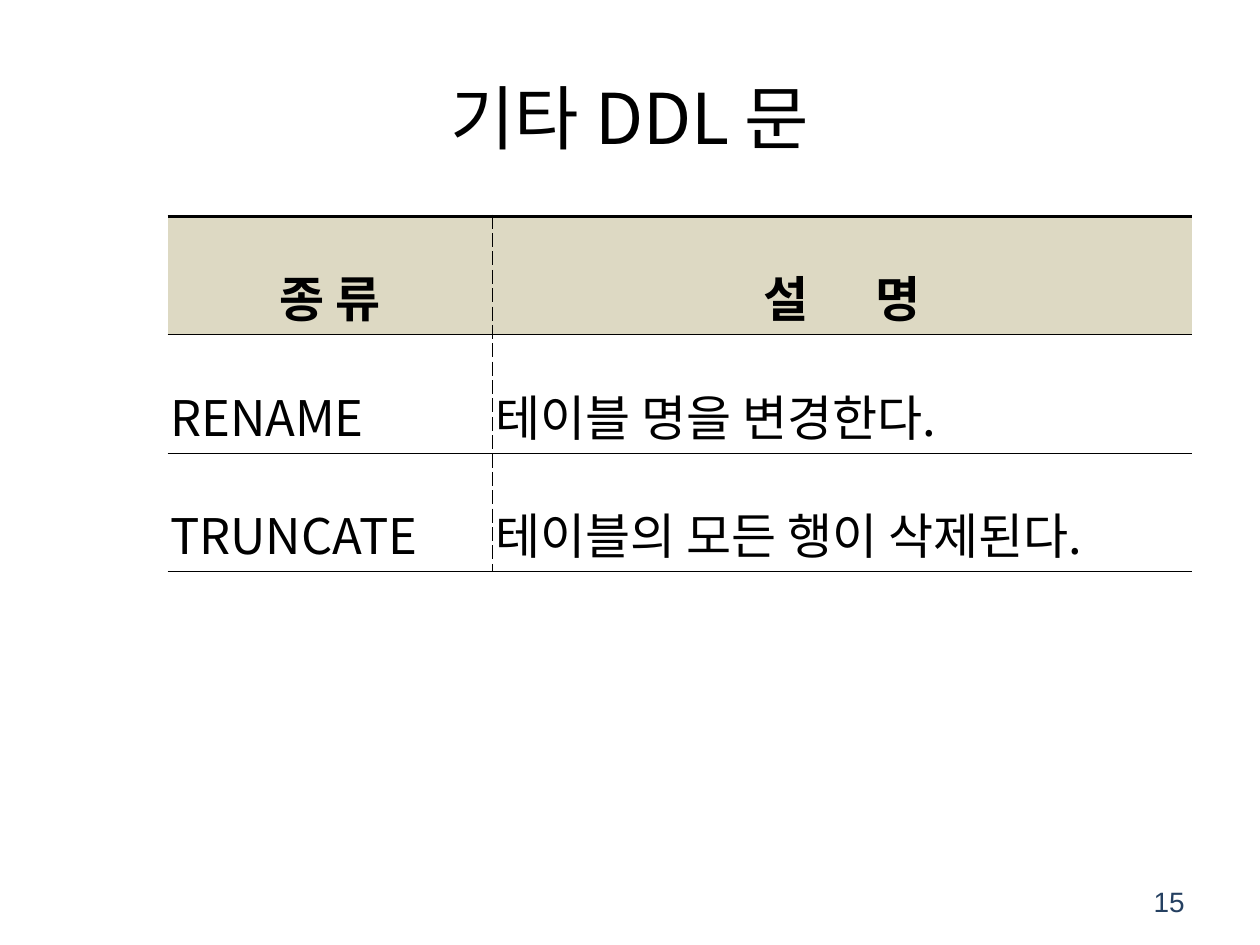
"""Builds a slide that lists further DDL statements in a table."""
from dataclasses import dataclass

from lxml import etree
from pptx import Presentation
from pptx.dml.color import RGBColor
from pptx.enum.text import MSO_ANCHOR, PP_ALIGN
from pptx.oxml.ns import qn
from pptx.util import Cm, Pt

CENTER, RIGHT, JUSTIFY = PP_ALIGN.CENTER, PP_ALIGN.RIGHT, PP_ALIGN.JUSTIFY
MIDDLE = MSO_ANCHOR.MIDDLE


@dataclass(frozen=True)
class Theme:
    """Colours, fonts, type sizes and line widths of the slide."""
    ink: str = "000000"
    number_ink: str = "254061"
    header_fill: str = "DDD9C3"
    body_fill: str = "FFFFFF"
    korean: str = "Noto Sans CJK KR"
    latin: str = "Arial"
    title_size: int = 40
    table_size: int = 28
    number_size: int = 16
    heavy: float = 2
    thin: float = 0.25
    divider: float = 0.56


THEME = Theme()
STATEMENTS = [
    ("종 류", "설 명"),
    ("RENAME", "테이블 명을 변경한다."),
    ("TRUNCATE", "테이블의 모든 행이 삭제된다."),
]
WIDE_GAP = {"설 명": 32}


def apply_format(target, values):
    """Set each named value on the target."""
    for attribute, value in values.items():
        setattr(target, attribute, value)


def add_text(paragraph, text, family, size, color=THEME.ink, bold=False):
    """Append a formatted run with one typeface for all scripts."""
    run = paragraph.add_run()
    run.text = text
    apply_format(run.font, {"name": family, "size": Pt(size), "bold": bold})
    run.font.color.rgb = RGBColor.from_string(color)
    properties = run.font._element
    etree.SubElement(properties, qn("a:ea"), typeface=family)
    return properties


def add_border(cell, position, side, width, dash="solid"):
    """Put a border on one side of a cell; zero width hides it."""
    line = etree.Element(qn(f"a:ln{side}"), w=str(int(Pt(width))))
    if width:
        fill = etree.SubElement(line, qn("a:solidFill"))
        etree.SubElement(fill, qn("a:srgbClr"), val=THEME.ink)
        etree.SubElement(line, qn("a:prstDash"), val=dash)
    else:
        etree.SubElement(line, qn("a:noFill"))
    cell._tc.get_or_add_tcPr().insert(position, line)


def fill_cell(cell, text, is_header, is_first_column):
    """Write and format one table cell."""
    apply_format(cell, {
        "vertical_anchor": MIDDLE,
        "margin_left": Cm(0.05), "margin_right": Cm(0.05),
        "margin_top": Cm(0.05), "margin_bottom": Cm(0.05),
    })
    cell.fill.solid()
    cell.fill.fore_color.rgb = RGBColor.from_string(
        THEME.header_fill if is_header else THEME.body_fill)
    paragraph = cell.text_frame.paragraphs[0]
    apply_format(paragraph, {
        "alignment": CENTER if is_header else JUSTIFY, "line_spacing": 1.6})
    gap = WIDE_GAP.get(text)
    for part in text.partition(" ") if gap else [text]:
        properties = add_text(paragraph, part, THEME.korean,
                              THEME.table_size, bold=is_header)
        if gap and part == " ":
            properties.set("spc", str(gap * 100))
    borders = [
        ("L", 0 if is_first_column else THEME.divider, "dash"),
        ("R", THEME.divider if is_first_column else 0, "dash"),
        ("T", THEME.heavy if is_header else THEME.thin, "solid"),
        ("B", THEME.thin, "solid"),
    ]
    for position, border in enumerate(borders):
        add_border(cell, position, *border)


def add_title(slide, text):
    """Place the slide title in its placeholder."""
    title = slide.shapes.title
    apply_format(title, {"left": Cm(1.27), "top": Cm(0.76),
                         "width": Cm(22.86), "height": Cm(3.18)})
    title.text_frame.vertical_anchor = MIDDLE
    paragraph = title.text_frame.paragraphs[0]
    paragraph.alignment = CENTER
    add_text(paragraph, text, THEME.korean, THEME.title_size)


def add_statement_table(slide, rows):
    """Add the table of statements and their meaning."""
    widths = [Cm(6.55), Cm(14.1)]
    table = slide.shapes.add_table(
        len(rows), len(widths), Cm(3.38), Cm(4.36),
        sum(widths), Cm(2) * len(rows)).table
    apply_format(table, {"first_row": False, "horz_banding": False})
    for column, width in zip(table.columns, widths):
        column.width = width
    for row_index, row in enumerate(rows):
        for column_index, text in enumerate(row):
            fill_cell(table.cell(row_index, column_index), text,
                      row_index == 0, column_index == 0)


def add_page_number(slide, number):
    """Add the page number at the lower right."""
    frame = slide.shapes.add_textbox(
        Cm(18.2), Cm(17.65), Cm(5.93), Cm(1.02)).text_frame
    apply_format(frame, {"word_wrap": True, "vertical_anchor": MIDDLE})
    paragraph = frame.paragraphs[0]
    paragraph.alignment = RIGHT
    add_text(paragraph, number, THEME.latin, THEME.number_size,
             THEME.number_ink)


def main():
    """Build and save the slide."""
    deck = Presentation()
    apply_format(deck, {"slide_width": Cm(25.4), "slide_height": Cm(19.05)})
    slide = deck.slides.add_slide(deck.slide_layouts.get_by_name("Title Only"))
    add_title(slide, "기타 DDL 문")
    add_statement_table(slide, STATEMENTS)
    add_page_number(slide, "15")
    deck.save("out.pptx")


main()
